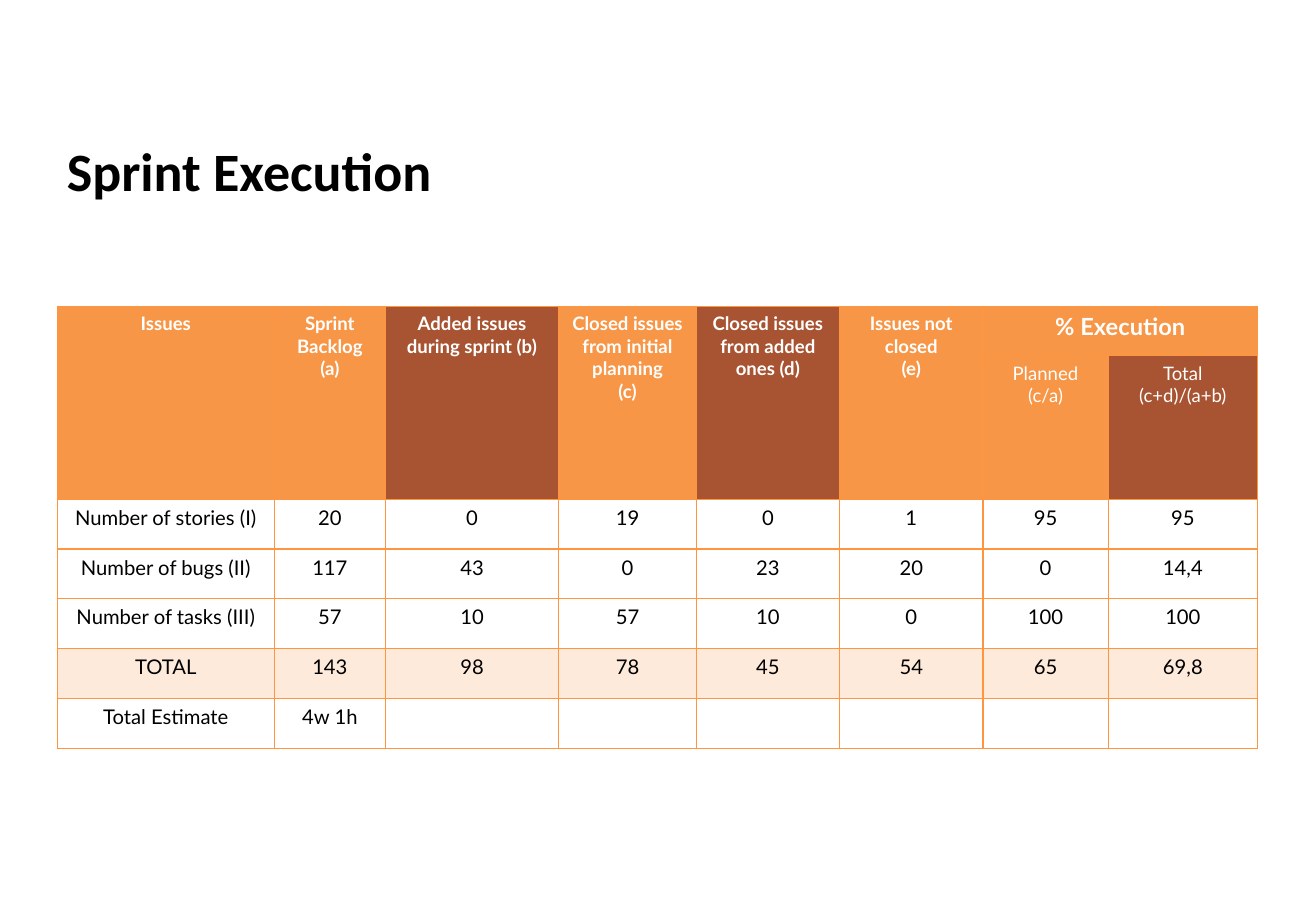
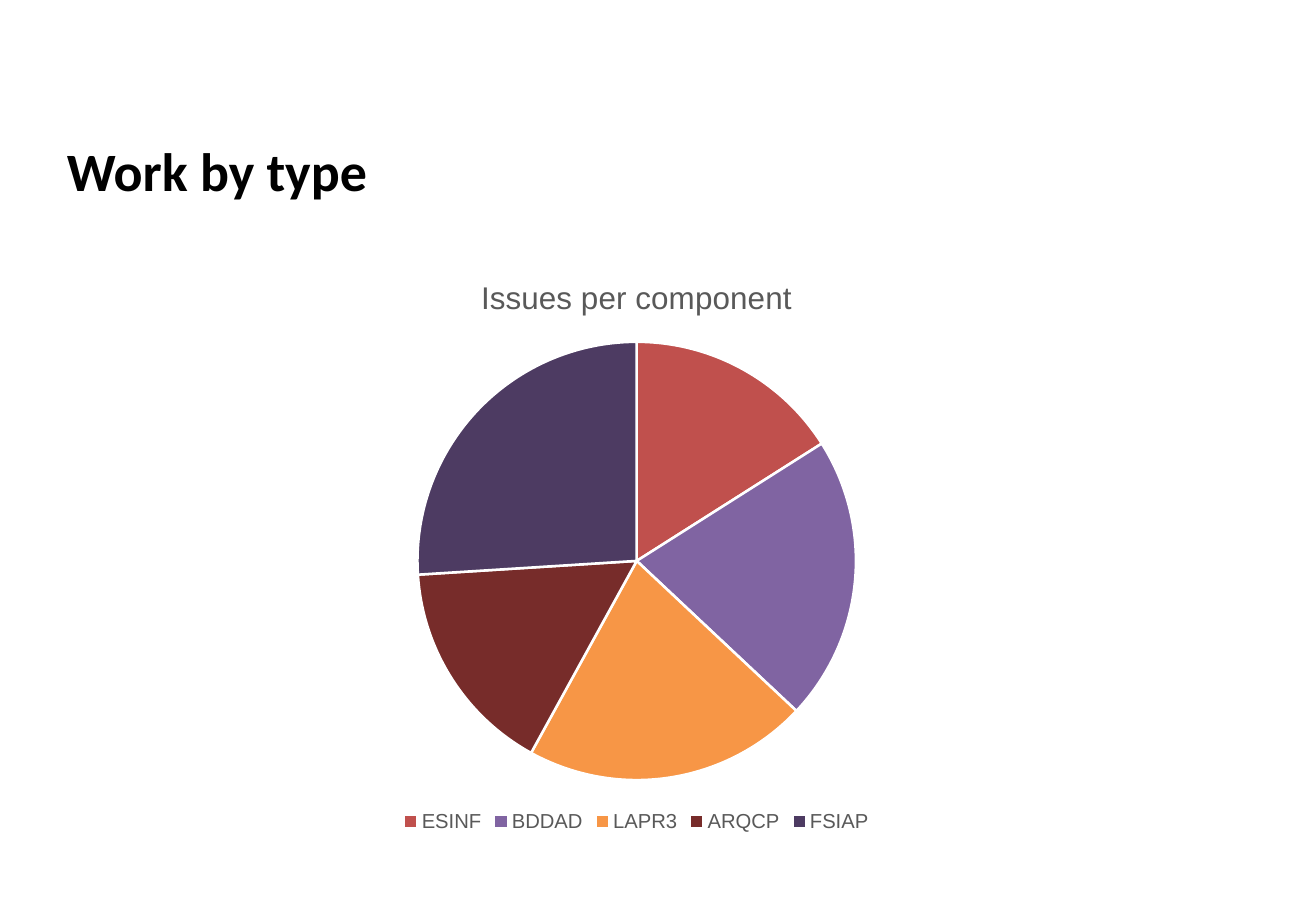
from lxml import etree
from pptx import Presentation
from pptx.chart.data import CategoryChartData
from pptx.dml.color import RGBColor
from pptx.enum import chart as ch, text
from pptx.oxml import ns
from pptx.util import Inches, Pt

ORANGE, BROWN, PEACH, BORDER = "F79646", "A85432", "FDEADA", "FF953E"
BLACK, WHITE, GREY = "000000", "FFFFFF", "595959"
TITLE_FONT = {"name": "Calibri", "size": Pt(32), "bold": True}
HEAD_FONT = {"name": "Lato", "size": Pt(11), "bold": True}
BODY_FONT = {"name": "Lato", "size": Pt(12), "bold": False}


def set_font(font, style, color):
    for key, value in style.items():
        setattr(font, key, value)
    font.color.rgb = RGBColor.from_string(color)


def set_cell(cell, content, style, color, fill=None):
    """Fill in one table cell, with thin borders and centred text."""
    tc_pr = cell._tc.get_or_add_tcPr()
    for side in ("lnL", "lnR", "lnT", "lnB"):
        ln = etree.SubElement(tc_pr, ns.qn("a:" + side), w=str(Pt(0.75)))
        line_fill = etree.SubElement(ln, ns.qn("a:solidFill"))
        etree.SubElement(line_fill, ns.qn("a:srgbClr"), val=BORDER)
    if fill:
        cell.fill.solid()
        cell.fill.fore_color.rgb = RGBColor.from_string(fill)
    else:
        cell.fill.background()
    cell.text = content
    for p in cell.text_frame.paragraphs:
        p.alignment = text.PP_ALIGN.CENTER
        for r in p.runs:
            set_font(r.font, style, color)


prs = Presentation()
prs.slide_width, prs.slide_height = Inches(10.83), Inches(7.5)

# Slides and their titles
slides = []
for heading in ("Sprint Execution", "Work by type"):
    s = prs.slides.add_slide(prs.slide_layouts[5])
    title = s.shapes.title
    title.left, title.top = Inches(0.45), Inches(1.09)
    title.width, title.height = Inches(9.89), Inches(0.62)
    tf = title.text_frame
    tf.text = heading
    tf.auto_size = text.MSO_AUTO_SIZE.NONE
    tf.vertical_anchor = text.MSO_ANCHOR.MIDDLE
    tf.paragraphs[0].alignment = text.PP_ALIGN.LEFT
    set_font(tf.paragraphs[0].runs[0].font, TITLE_FONT, BLACK)
    slides.append(s)
table_slide, chart_slide = slides

# Sprint table
col_widths = [1.79, 0.91, 1.43, 1.13, 1.18, 1.18, 1.03, 1.23]
row_heights = [0.41, 1.18] + [0.41] * 5
headers = [
    ("Issues", ORANGE),
    ("Sprint Backlog\n(a)", ORANGE),
    ("Added issues during sprint (b)", BROWN),
    ("Closed issues from initial planning\n(c)", ORANGE),
    ("Closed issues from added ones (d)", BROWN),
    ("Issues not closed\n(e)", ORANGE),
]
sub_headers = [("Planned\n(c/a)", ORANGE), ("Total\n(c+d)/(a+b)", BROWN)]
body = [
    ["Number of stories (I)", "20", "0", "19", "0", "1", "95", "95"],
    ["Number of bugs (II)", "117", "43", "0", "23", "20", "0", "14,4"],
    ["Number of tasks (III)", "57", "10", "57", "10", "0", "100", "100"],
    ["TOTAL", "143", "98", "78", "45", "54", "65", "69,8"],
    ["Total Estimate", "4w 1h"] + [""] * 6,
]
table = table_slide.shapes.add_table(
    len(row_heights), len(col_widths), Inches(0.47), Inches(2.52),
    Inches(sum(col_widths)), Inches(sum(row_heights))).table
for column, width in zip(table.columns, col_widths):
    column.width = Inches(width)
for row, height in zip(table.rows, row_heights):
    row.height = Inches(height)

for c, (label, fill) in enumerate(headers):
    set_cell(table.cell(0, c), label, HEAD_FONT, WHITE, fill)
    set_cell(table.cell(1, c), "", HEAD_FONT, WHITE, fill)
    table.cell(0, c).merge(table.cell(1, c))
group = len(headers)
for c, (label, fill) in enumerate(sub_headers, group):
    set_cell(table.cell(0, c), "% Execution" if c == group else "",
             HEAD_FONT | {"size": Pt(14)}, WHITE, ORANGE)
    set_cell(table.cell(1, c), label, HEAD_FONT | {"bold": False}, WHITE, fill)
table.cell(0, group).merge(table.cell(0, group + 1))
for r, values in enumerate(body, 2):
    fill = PEACH if values[0] == "TOTAL" else None
    for c, value in enumerate(values):
        set_cell(table.cell(r, c), value, BODY_FONT, BLACK, fill)

# Pie chart
data = CategoryChartData()
data.categories = ["ESINF", "BDDAD", "LAPR3", "ARQCP", "FSIAP"]
data.add_series("Series 1", [16, 21, 21, 16, 26])
chart = chart_slide.shapes.add_chart(
    ch.XL_CHART_TYPE.PIE, Inches(1.63), Inches(2.08),
    Inches(7.22), Inches(4.81), data).chart
set_font(chart.font, {"name": "Arial", "size": Pt(10)}, BLACK)
chart.has_title = True
tf = chart.chart_title.text_frame
tf.text = "Issues per component"
set_font(tf.paragraphs[0].runs[0].font,
         {"name": "Arial", "size": Pt(18.6), "bold": False}, GREY)
chart.has_legend = True
chart.legend.position = ch.XL_LEGEND_POSITION.BOTTOM
chart.legend.include_in_layout = False
set_font(chart.legend.font, {"name": "Arial", "size": Pt(12)}, GREY)
plot = chart.plots[0]
plot.vary_by_categories = True
for i, color in enumerate(["C0504D", "8064A2", ORANGE, "772C2A", "4D3B62"]):
    fmt = plot.series[0].points[i].format
    fmt.fill.solid()
    fmt.fill.fore_color.rgb = RGBColor.from_string(color)
    fmt.line.color.rgb = RGBColor.from_string(WHITE)
    fmt.line.width = Pt(1.5)

prs.save("out.pptx")
